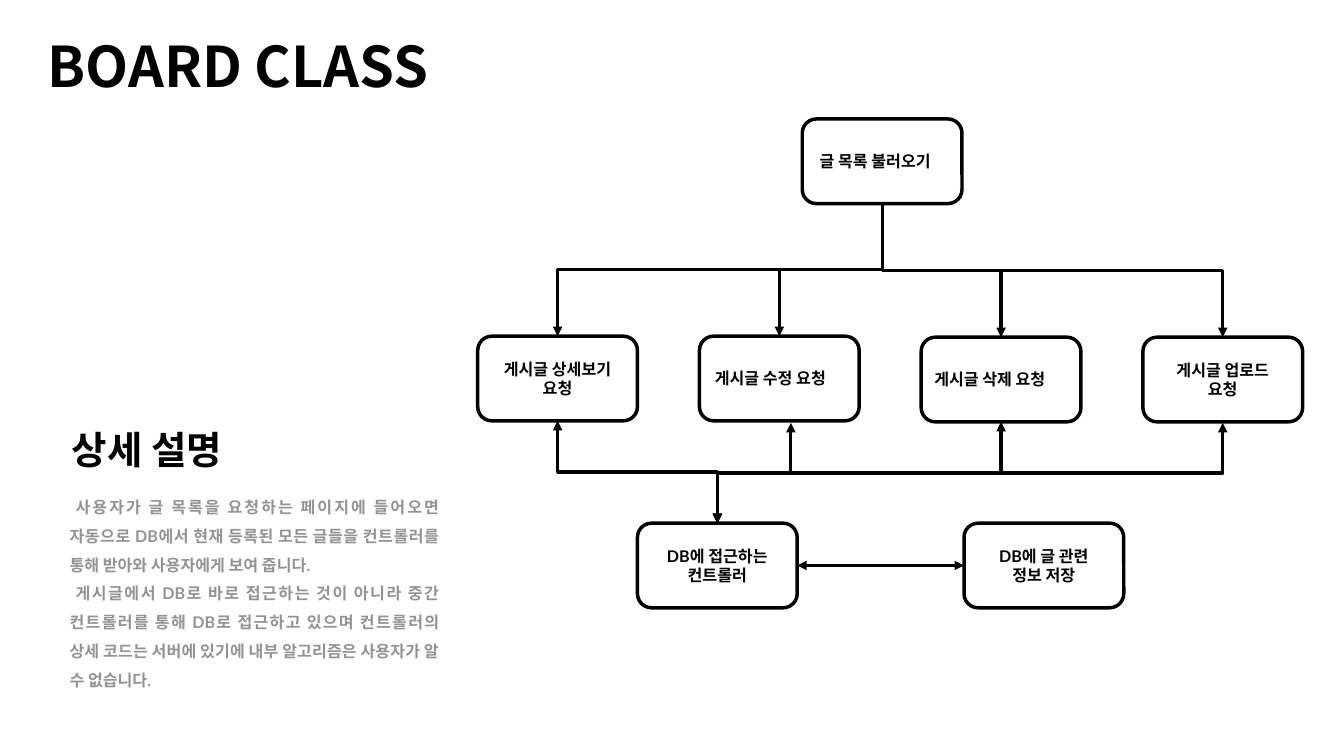
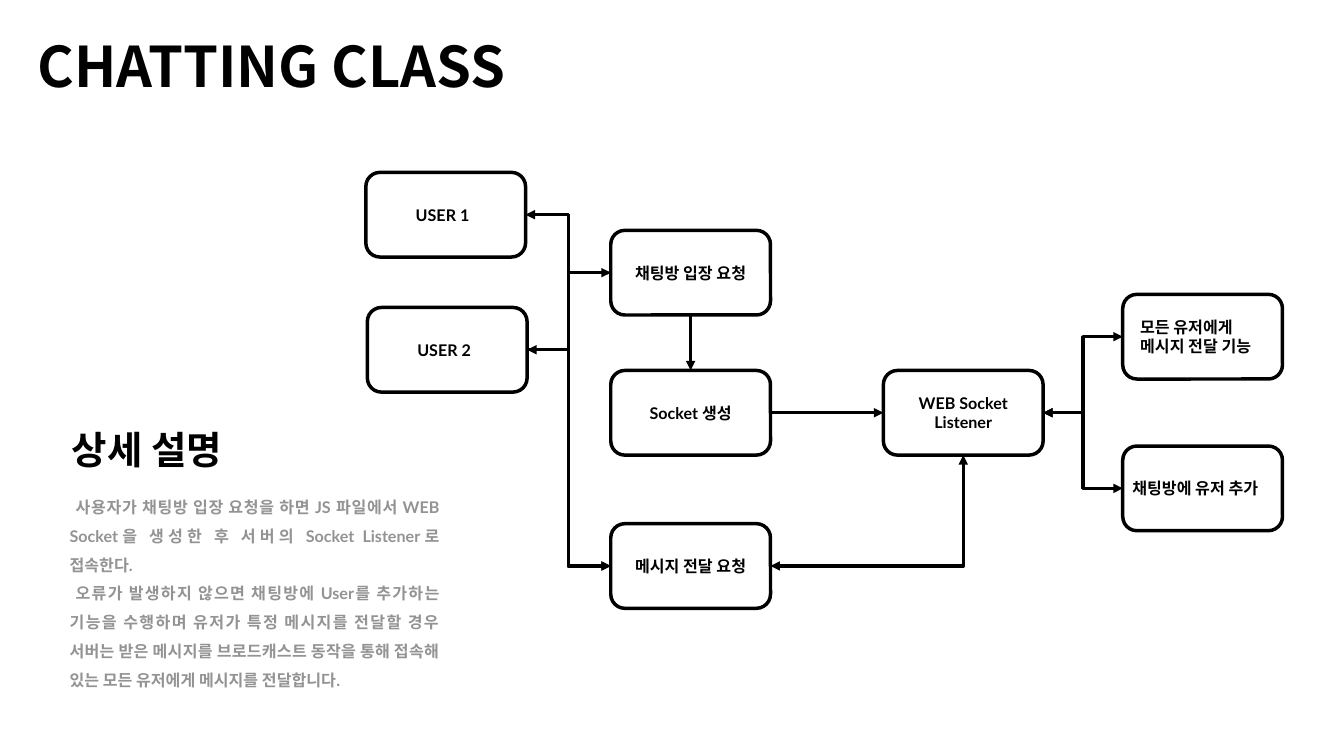
from collections import namedtuple
from dataclasses import dataclass

from lxml import etree
from pptx import Presentation
from pptx import util as u
from pptx.dml.color import RGBColor
from pptx.enum import shapes, text
from pptx.oxml.ns import qn

SCALE = 9144
Box = namedtuple("Box", "x y w h")
ALIGN = text.PP_ALIGN


@dataclass(frozen=True)
class Theme:
    """Colours, fonts, type sizes and line widths of the deck."""
    ink: str = "000000"
    grey: str = "939393"
    korean: str = "Noto Sans CJK KR"
    title: tuple = ("Noto Sans CJK KR", 80)
    heading: tuple = ("Vollkorn", 55)
    body: tuple = ("Lato", 23)
    border: float = 5
    link: float = 4.5
    hairline: float = 1


T = Theme()
SLIDE = Box(0, 0, 2667, 1500)
NODE_W, NODE_H = 317, 168
LINE_H, TWO_LINES_H = 47, 86
INSET = 4


def px(n):
    """Turn px into EMU."""
    return u.Emu(round(n * SCALE))


def apply(target, values):
    """Set every attribute named in values."""
    for name, value in values.items():
        setattr(target, name, value)


def add_text(s, box, content, style, color=T.ink, align=ALIGN.CENTER,
             frame=None, para=None, indent=0):
    """Add a wrapped bold text box, one paragraph per line of content."""
    tf = s.shapes.add_textbox(*map(px, box)).text_frame
    apply(tf, {"word_wrap": True, **(frame or {})})
    tf.text = content
    name, size = style
    for p in tf.paragraphs:
        apply(p, {"alignment": align, **(para or {})})
        if indent:
            p._p.get_or_add_pPr().set("indent", str(px(indent)))
        for r in p.runs:
            apply(r.font, {"name": name, "size": u.Pt(size), "bold": True})
            r.font.color.rgb = RGBColor.from_string(color)
            ea = etree.SubElement(r._r.get_or_add_rPr(), qn("a:ea"))
            ea.set("typeface", T.korean)


def margins():
    """Return the narrow insets used by labels and body text."""
    return {f"margin_{side}": px(INSET) for side in ("left", "right", "top", "bottom")}


def add_node(s, box, label, width, height=LINE_H, align=ALIGN.CENTER):
    """Draw a rounded box with its label centred on it."""
    sp = s.shapes.add_shape(shapes.MSO_SHAPE.ROUNDED_RECTANGLE, *map(px, box))
    sp.shadow.inherit = False
    sp.fill.background()
    sp.line.color.rgb = RGBColor.from_string(T.ink)
    sp.line.width = u.Pt(T.border)
    area = Box(box.x + (box.w - width) / 2, box.y + (box.h - height) / 2, width, height)
    add_text(s, area, label, T.body, align=align,
             frame={"vertical_anchor": text.MSO_ANCHOR.MIDDLE,
                    "auto_size": text.MSO_AUTO_SIZE.SHAPE_TO_FIT_TEXT, **margins()})


def side(box, name):
    """Return the middle point of one side of a box."""
    fx, fy = {"top": (.5, 0), "bottom": (.5, 1), "left": (0, .5), "right": (1, .5)}[name]
    return box.x + box.w * fx, box.y + box.h * fy


def add_link(s, start, end, route="straight", both=False, width=T.link):
    """Join two points with an arrow: straight, across, down or corner."""
    (x1, y1), (x2, y2) = start, end
    rot = None
    if route == "down":
        cx, cy = (x1 + x2) / 2, (y1 + y2) / 2
        half_w, half_h = (y2 - y1) / 2, abs(x2 - x1) / 2
        flip = -1 if x2 > x1 else 1
        rot = "16200000" if x2 > x1 else "5400000"
        x1, x2 = cx - flip * half_w, cx + flip * half_w
        y1, y2 = cy - half_h, cy + half_h
    kind = shapes.MSO_CONNECTOR.STRAIGHT if route == "straight" else shapes.MSO_CONNECTOR.ELBOW
    c = s.shapes.add_connector(kind, *map(px, (x1, y1, x2, y2)))
    c.line.color.rgb = RGBColor.from_string(T.ink)
    c.line.width = u.Pt(width)
    sp_pr = c._element.spPr
    if rot:
        sp_pr.find(qn("a:xfrm")).set("rot", rot)
    if route == "corner":
        sp_pr.find(qn("a:prstGeom")).set("prst", "bentConnector2")
    for tag in ("a:headEnd", "a:tailEnd") if both else ("a:tailEnd",):
        etree.SubElement(sp_pr.find(qn("a:ln")), qn(tag)).set("type", "triangle")
    etree.SubElement(sp_pr, qn("a:effectLst"))


def node_box(area, x, y):
    """Return the box of a node placed inside an area."""
    return Box(area.x + x, area.y + y, NODE_W, NODE_H)


def board_diagram(s, area):
    """Draw the list request, its four actions and the database access."""
    listing = node_box(area, 644, 0)
    actions = [node_box(area, 440 * i, 431 + 2 * (i > 1)) for i in range(4)]
    controller, store = (node_box(area, x, 802) for x in (317, 965))
    labels = [("게시글 상세보기\n요청", 243, TWO_LINES_H), ("게시글 수정 요청", 264, LINE_H, ALIGN.LEFT),
              ("게시글 삭제 요청", 273, LINE_H, ALIGN.LEFT), ("게시글 업로드 요청", 234, TWO_LINES_H)]
    add_node(s, listing, "글 목록 불러오기", 256, align=ALIGN.LEFT)
    for box, label in zip(actions, labels):
        add_node(s, box, *label)
    add_node(s, controller, "DB에 접근하는 컨트롤러", 240, TWO_LINES_H)
    add_node(s, store, "DB에 글 관련 정보 저장", 240, TWO_LINES_H)

    shifts = [(0, 0), (23, 4), (0, 0), (0, 2)]
    for box, (dx, dy) in zip(actions, shifts):
        add_link(s, side(listing, "bottom"), side(box, "top"), "down")
        x, y = side(box, "bottom")
        add_link(s, (x + dx, y + dy), side(controller, "top"), "down", both=True)
    add_link(s, side(controller, "right"), side(store, "left"), both=True)


def chatting_diagram(s, area):
    """Draw the users, their requests, the socket and its listener."""
    nodes = {
        "user1": (0, 0, "USER 1", 127, LINE_H, ALIGN.LEFT),
        "user2": (3, 268, "USER 2", 127, LINE_H, ALIGN.LEFT),
        "enter": (486, 115, "채팅방 입장 요청", 234, TWO_LINES_H),
        "socket": (486, 393, "Socket 생성", 234),
        "message": (486, 697, "메시지 전달 요청", 234, TWO_LINES_H),
        "listener": (1027, 393, "WEB Socket Listener", 240, TWO_LINES_H),
        "broadcast": (1502, 242, "모든 유저에게 메시지 전달 기능", 256, TWO_LINES_H, ALIGN.LEFT),
        "join": (1502, 543, "채팅방에 유저 추가", 287, LINE_H, ALIGN.LEFT),
    }
    boxes = {}
    for name, (x, y, *label) in nodes.items():
        boxes[name] = node_box(area, x, y)
        add_node(s, boxes[name], *label)

    links = [
        ("user1", "right", "enter", "left", "across", False, T.hairline),
        ("user2", "right", "enter", "left", "across"),
        ("enter", "bottom", "socket", "top"),
        ("socket", "right", "listener", "left"),
        ("user2", "right", "message", "left", "across", True),
        ("user1", "right", "message", "left", "across", True),
        ("message", "right", "listener", "bottom", "corner", True),
        ("listener", "right", "broadcast", "left", "across", True),
        ("listener", "right", "join", "left", "across", True),
    ]
    for a, a_side, b, b_side, *style in links:
        add_link(s, side(boxes[a], a_side), side(boxes[b], b_side), *style)


def description(s, area, content):
    """Write the detail heading and the grey justified text below it."""
    add_text(s, Box(area.x + 49, area.y + 123, 742, 459), content, T.body, T.grey,
             ALIGN.JUSTIFY, margins(), {"line_spacing": 1.5}, indent=12)
    add_text(s, Box(area.x, area.y, 414, 114), "상세 설명", T.heading)


def class_slide(prs, title, title_w, diagram, area, content):
    """Add one slide with a title, a diagram and a description."""
    s = prs.slides.add_slide(prs.slide_layouts[6])
    add_text(s, Box(39, 57, title_w, 145), title, T.title)
    diagram(s, area)
    description(s, Box(85, 840, 791, 582), content)


def main():
    """Build and save the deck."""
    prs = Presentation()
    apply(prs, {"slide_width": px(SLIDE.w), "slide_height": px(SLIDE.h)})
    class_slide(
        prs, "BOARD CLASS", 867, board_diagram, Box(948, 236, 1637, 970),
        "사용자가 글 목록을 요청하는 페이지에 들어오면 자동으로 DB에서 현재 등록된 모든 글들을 "
        "컨트롤러를 통해 받아와 사용자에게 보여 줍니다.\n"
        "게시글에서 DB로 바로 접근하는 것이 아니라 중간 컨트롤러를 통해 DB로 접근하고 있으며 "
        "컨트롤러의 상세 코드는 서버에 있기에 내부 알고리즘은 사용자가 알 수 없습니다.")
    class_slide(
        prs, "CHATTING CLASS", 1000, chatting_diagram, Box(726, 342, 1819, 865),
        "사용자가 채팅방 입장 요청을 하면 JS 파일에서 WEB Socket을 생성한 후 서버의 "
        "Socket Listener로 접속한다.\n"
        "오류가 발생하지 않으면 채팅방에 User를 추가하는 기능을 수행하며 유저가 특정 메시지를 "
        "전달할 경우 서버는 받은 메시지를 브로드캐스트 동작을 통해 접속해 있는 모든 유저에게 "
        "메시지를 전달합니다.")
    prs.save("out.pptx")


if __name__ == "__main__":
    main()
